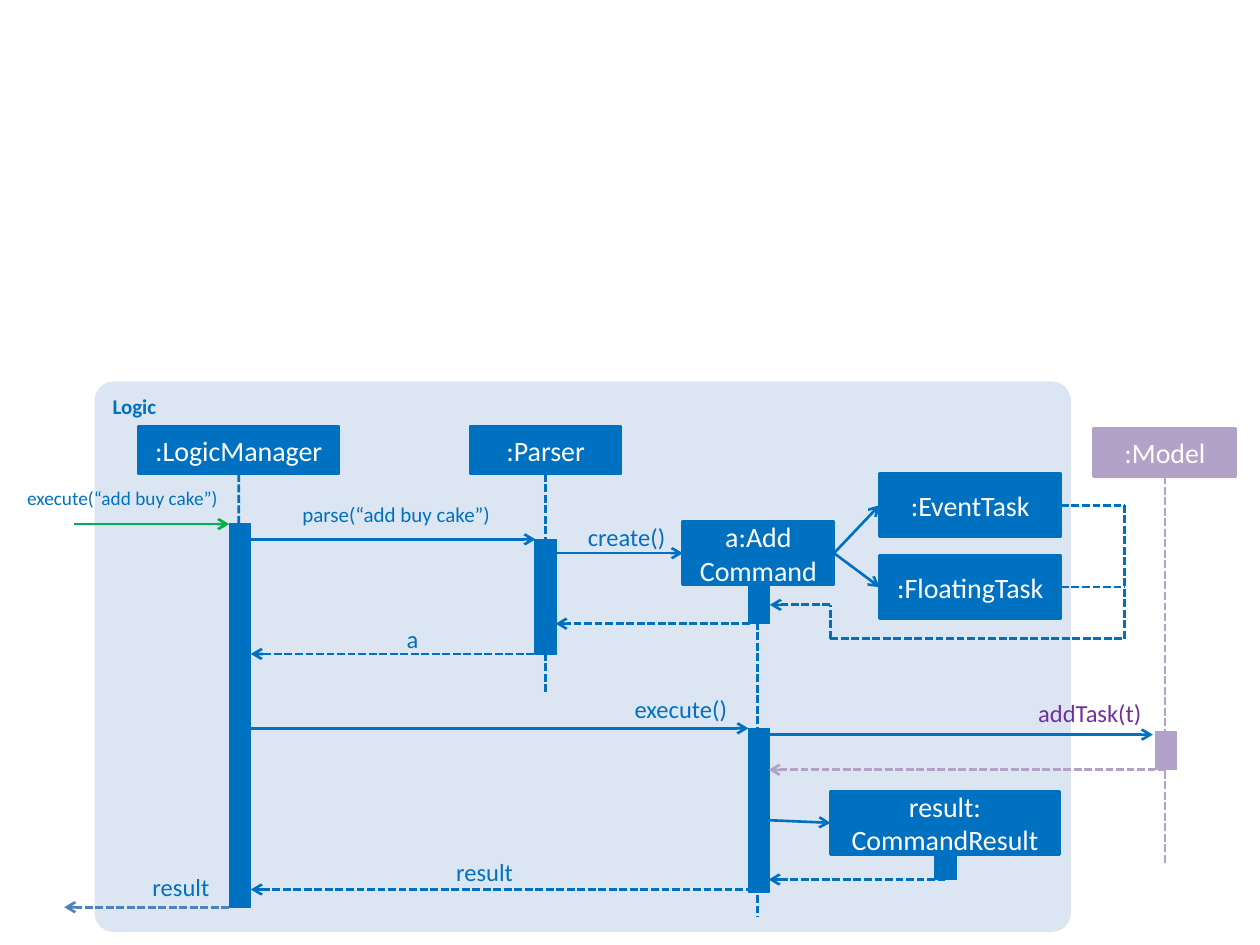
from copy import deepcopy

from pptx import Presentation
from pptx import util as u
from pptx.dml.color import RGBColor
from pptx.enum import dml, shapes, text
from pptx.oxml import ns
from lxml import etree

BLUE = RGBColor(0x00, 0x70, 0xC0)
PANEL = RGBColor(0xDC, 0xE6, 0xF2)
LILAC = RGBColor(0xB3, 0xA2, 0xC7)
PURPLE = RGBColor(0x70, 0x30, 0xA0)
GREEN = RGBColor(0x00, 0xB0, 0x50)
STEEL = RGBColor(0x4F, 0x81, 0xBD)
WHITE = RGBColor(0xFF, 0xFF, 0xFF)

FONT = "Calibri"
BAR_WIDTH = 12.2
CENTER = text.PP_ALIGN.CENTER
LEFT = text.PP_ALIGN.LEFT
RIGHT = text.PP_ALIGN.RIGHT
SIDE_LEFT, SIDE_BOTTOM, SIDE_RIGHT = 1, 2, 3


def write(shape, content, size=16, color=WHITE, bold=False, align=CENTER,
          anchor=text.MSO_ANCHOR.MIDDLE):
    frame = shape.text_frame
    frame.word_wrap = True
    frame.vertical_anchor = anchor
    paragraph = frame.paragraphs[0]
    paragraph.text = content
    paragraph.alignment = align
    for run in paragraph.runs:
        run.font.name = FONT
        run.font.size = u.Pt(size)
        run.font.bold = bold
        run.font.color.rgb = color
    for line_break in paragraph._p.findall(ns.qn("a:br")):
        line_break.append(deepcopy(paragraph.runs[0]._r.rPr))


def add_block(slide, left, top, width, height, color=BLUE, outline=1.5,
              kind=shapes.MSO_SHAPE.RECTANGLE):
    shape = slide.shapes.add_shape(
        kind, u.Pt(left), u.Pt(top), u.Pt(width), u.Pt(height))
    shape.shadow.inherit = False
    shape.fill.solid()
    shape.fill.fore_color.rgb = color
    if outline:
        shape.line.color.rgb = color
        shape.line.width = u.Pt(outline)
    else:
        shape.line.fill.background()
    return shape


def add_panel(slide):
    panel = add_block(slide, 54, 218, 558, 314.6, PANEL, 0,
                      shapes.MSO_SHAPE.ROUNDED_RECTANGLE)
    panel.adjustments[0] = 0.035
    write(panel, "Logic", size=12, color=BLUE, bold=True, align=LEFT,
          anchor=text.MSO_ANCHOR.TOP)


def add_object(slide, name, left, top, width, height=27.4, color=BLUE):
    shape = add_block(slide, left, top, width, height, color)
    write(shape, name)
    return shape


def add_bar(slide, left, top, height, color=BLUE):
    return add_block(slide, left, top, BAR_WIDTH, height, color, 0.75)


def add_label(slide, content, left, top, width, size=14, color=BLUE):
    shape = slide.shapes.add_textbox(
        u.Pt(left), u.Pt(top), u.Pt(width), u.Pt(size * 1.22))
    frame = shape.text_frame
    frame.margin_left = frame.margin_right = 0
    frame.margin_top = frame.margin_bottom = 0
    write(shape, content, size=size, color=color, align=RIGHT,
          anchor=text.MSO_ANCHOR.TOP)
    frame.auto_size = text.MSO_AUTO_SIZE.SHAPE_TO_FIT_TEXT


def add_line(slide, start, end, color=BLUE, dashed=False, arrow=False):
    """Each end is a point (x, y) in points or a pair (shape, side)."""
    joins = [hasattr(place[0], "shape_id") for place in (start, end)]
    points = [(0, 0) if joined else place
              for joined, place in zip(joins, (start, end))]
    connector = slide.shapes.add_connector(
        shapes.MSO_CONNECTOR.STRAIGHT,
        *[u.Pt(value) for point in points for value in point])
    if joins[0]:
        connector.begin_connect(*start)
    if joins[1]:
        connector.end_connect(*end)
    connector.line.color.rgb = color
    connector.line.width = u.Pt(1.5)
    if dashed:
        connector.line.dash_style = dml.MSO_LINE.SQUARE_DOT
    properties = connector._element.spPr
    if arrow:
        outline = properties.find(ns.qn("a:ln"))
        etree.SubElement(outline, ns.qn("a:tailEnd"), type="arrow")
    etree.SubElement(properties, ns.qn("a:effectLst"))


def add_call(slide, start, end, color=BLUE):
    add_line(slide, start, end, color, arrow=True)


def add_return(slide, start, end, color=BLUE):
    add_line(slide, start, end, color, dashed=True, arrow=True)


def main():
    presentation = Presentation()
    presentation.slide_width = u.Pt(720)
    presentation.slide_height = u.Pt(540)
    slide = presentation.slides.add_slide(presentation.slide_layouts[6])

    add_panel(slide)
    manager = add_object(slide, ":LogicManager", 79.2, 243.4, 114.5)
    parser = add_object(slide, ":Parser", 268.6, 243.4, 86.4)
    command = add_object(slide, "a:Add\nCommand", 390.2, 298.1, 86.4, 36)
    model = add_object(slide, ":Model", 625, 244.8, 81.4, color=LILAC)
    result = add_object(slide, "result:\nCommandResult", 474.5, 452.2, 131, 36)
    event = add_object(slide, ":EventTask", 502.6, 270.7, 103.7, 36)
    floating = add_object(slide, ":FloatingTask", 502.6, 317.5, 103.7, 36)

    add_line(slide, (manager, SIDE_BOTTOM), (136.5, 476), dashed=True)
    add_line(slide, (parser, SIDE_BOTTOM), (311.8, 396.7), dashed=True)
    add_line(slide, (432.7, 331.2), (432.7, 524.2), dashed=True)
    add_line(slide, (model, SIDE_BOTTOM), (665.7, 493.9), LILAC, dashed=True)

    add_bar(slide, 131, 299.5, 218.9)
    add_bar(slide, 305.7, 308.2, 65.5)
    command_bar = add_bar(slide, 427.7, 334.8, 21.6)
    add_bar(slide, 427.7, 416.2, 93.6)
    model_bar = add_bar(slide, 660.2, 418.3, 21.6, LILAC)
    result_bar = add_bar(slide, 534.2, 488.9, 13.7)

    add_call(slide, (42.5, 299.5), (131, 299.5), GREEN)
    add_call(slide, (143.3, 308.2), (306, 308.2))
    add_call(slide, (317.5, 316.1), (command, SIDE_LEFT))
    add_call(slide, (143.3, 416.2), (427.7, 416.2))
    add_call(slide, (439.2, 419.8), (658.8, 419.8))
    add_call(slide, (439.2, 468.7), (result, SIDE_LEFT))
    for task in (event, floating):
        add_call(slide, (command, SIDE_RIGHT), (task, SIDE_LEFT))

    add_return(slide, (428.4, 356.4), (317.5, 356.4))
    add_return(slide, (305.3, 373.7), (143.3, 373.7))
    add_return(slide, (131, 518.4), (36.7, 518.4), STEEL)
    add_return(slide, (model_bar, SIDE_BOTTOM), (439.2, 439.9), LILAC)
    add_return(slide, (430.6, 508.3), (143.3, 508.3))
    add_return(slide, (result_bar, SIDE_BOTTOM), (439.2, 502.6))

    corner_right, corner_left, corner_bottom = 642.5, 474.5, 365
    add_line(slide, (event, SIDE_RIGHT), (corner_right, 288.7), dashed=True)
    add_line(slide, (floating, SIDE_RIGHT), (corner_right, 335.5), dashed=True)
    add_line(slide, (corner_right, corner_bottom), (corner_right, 288.7),
             dashed=True)
    add_line(slide, (corner_left, corner_bottom),
             (corner_right, corner_bottom), dashed=True)
    add_line(slide, (corner_left, corner_bottom), (corner_left, 345.6),
             dashed=True)
    add_return(slide, (corner_left, 345.6), (command_bar, SIDE_RIGHT))

    add_label(slide, "execute(“add buy cake”)", 12.2, 277.9, 112.3, size=11)
    add_label(slide, "parse(“add buy cake”)", 167.8, 286.6, 112.3, size=12)
    add_label(slide, "create()", 329.8, 298.1, 50.4)
    add_label(slide, "a", 221.8, 356.4, 17.3)
    add_label(slide, "execute()", 347.8, 396.7, 67.7)
    add_label(slide, "addTask(t)", 540, 398.9, 112.3, color=PURPLE)
    add_label(slide, "result", 244.1, 489.6, 49)
    add_label(slide, "result", 59.8, 498.2, 59.8)

    presentation.save("out.pptx")


if __name__ == "__main__":
    main()
